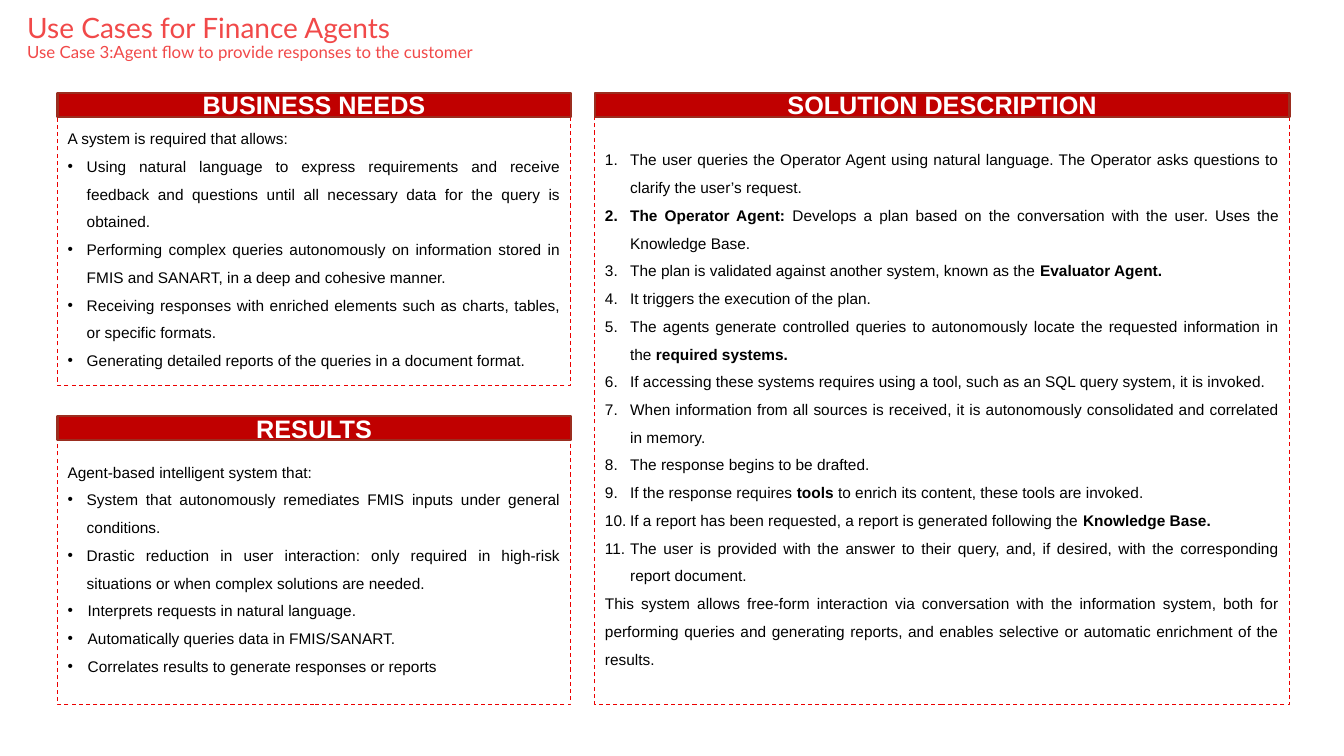
"""Builds a slide on a finance agent: its needs, results and solution."""
import dataclasses

import pptx
import pptx.dml.color
import pptx.enum.dml
import pptx.enum.shapes
import pptx.enum.text
import pptx.oxml
import pptx.oxml.ns
import pptx.util

Inches = pptx.util.Inches
Pt = pptx.util.Pt
Align = pptx.enum.text.PP_ALIGN
Anchor = pptx.enum.text.MSO_ANCHOR


@dataclasses.dataclass(frozen=True)
class Theme:
    ink: str = "000000"
    white: str = "FFFFFF"
    title: str = "F14949"
    banner: str = "C00000"
    edge: str = "9B2D1F"
    dash: str = "EC0000"
    head: str = "Lato"
    body: str = "Arial"
    large: float = 20
    small: float = 12
    label: float = 18
    text: float = 11


class Deck:
    def __init__(self, theme):
        self.theme = theme
        self.show = pptx.Presentation()
        self.show.slide_width = Inches(13.33)
        self.show.slide_height = Inches(7.5)
        self.slide = self.show.slides.add_slide(self.show.slide_layouts[4])

    def place(self, shape, left, top, width, height):
        shape.left, shape.top = Inches(left), Inches(top)
        shape.width, shape.height = Inches(width), Inches(height)

    def tint(self, color):
        return pptx.dml.color.RGBColor.from_string(color)

    def words(self, para, text, size, color, face, bold=False):
        run = para.add_run()
        run.text = text
        run.font.size = Pt(size)
        run.font.name = face
        run.font.bold = bold
        run.font.color.rgb = self.tint(color)

    def frame(self, shape, anchor):
        frame = shape.text_frame
        frame.word_wrap = True
        frame.auto_size = pptx.enum.text.MSO_AUTO_SIZE.NONE
        frame.vertical_anchor = anchor
        return frame

    def title(self, main, sub):
        look = self.theme
        shape = self.slide.shapes.title
        self.place(shape, 0.27, 0.09, 10.23, 0.63)
        frame = self.frame(shape, Anchor.TOP)
        frame.margin_left = frame.margin_right = 0
        para = frame.paragraphs[0]
        para.alignment = Align.LEFT
        para.line_spacing = 0.9
        self.words(para, main, look.large, look.title, look.head)
        para.add_line_break()
        self.words(para, sub, look.small, look.title, look.head)

    def mark(self, para, kind, indent):
        props = para._p.get_or_add_pPr()
        props.set("marL", str(Inches(indent)))
        props.set("indent", str(-Inches(indent)))
        space = pptx.oxml.ns.nsdecls("a")
        marks = {
            "none": "<a:buNone {}/>",
            "dot": '<a:buChar {} char="•"/>',
            "count": '<a:buAutoNum {} type="arabicPeriod"/>',
        }
        if kind != "none":
            font = '<a:buFont {} typeface="{}"/>'
            props.append(pptx.oxml.parse_xml(font.format(space, self.theme.body)))
        props.append(pptx.oxml.parse_xml(marks[kind].format(space)))

    def body(self, slot, box, items):
        look = self.theme
        shape = self.slide.placeholders[slot]
        self.place(shape, *box)
        shape.line.color.rgb = self.tint(look.dash)
        shape.line.width = Pt(0.75)
        shape.line.dash_style = pptx.enum.dml.MSO_LINE.DASH
        frame = self.frame(shape, Anchor.MIDDLE)
        for index, (kind, indent, align, text) in enumerate(items):
            para = frame.add_paragraph() if index else frame.paragraphs[0]
            self.mark(para, kind, indent)
            para.alignment = align
            para.line_spacing = 1.5
            para.space_before = Pt(0)
            for turn, part in enumerate(text.split("**")):
                if part:
                    self.words(para, part, look.text, look.ink, look.body, turn % 2 == 1)

    def banner(self, left, top, width, text):
        look = self.theme
        kind = pptx.enum.shapes.MSO_SHAPE.RECTANGLE
        shape = self.slide.shapes.add_shape(
            kind, Inches(left), Inches(top), Inches(width), Inches(0.24))
        shape.shadow.inherit = False
        shape.fill.solid()
        shape.fill.fore_color.rgb = self.tint(look.banner)
        shape.line.color.rgb = self.tint(look.edge)
        shape.line.width = Pt(1.5)
        para = self.frame(shape, Anchor.MIDDLE).paragraphs[0]
        para.alignment = Align.CENTER
        self.words(para, text, look.label, look.white, look.body, True)

    def panel(self, slot, head, top, box, items):
        self.body(slot, box, items)
        self.banner(box[0], top, box[2], head)

    def clean(self):
        for shape in list(self.slide.placeholders):
            if not shape.text_frame.text:
                shape._element.getparent().remove(shape._element)


def plain(text):
    return "none", 0, Align.JUSTIFY, text


def dots(*texts, indent=0.19, align=Align.JUSTIFY):
    return [("dot", indent, align, text) for text in texts]


def steps(*texts):
    return [("count", 0.25, Align.JUSTIFY, text) for text in texts]


NEEDS = [plain("A system is required that allows:")] + dots(
    "Using natural language to express requirements and receive feedback and questions "
    "until all necessary data for the query is obtained.",
    "Performing complex queries autonomously on information stored in FMIS and SANART, "
    "in a deep and cohesive manner.",
    "Receiving responses with enriched elements such as charts, tables, or specific formats.",
    "Generating detailed reports of the queries in a document format.",
)
RESULTS = [plain("Agent-based intelligent system that:")] + dots(
    "System that autonomously remediates FMIS inputs under general conditions.",
    "Drastic reduction in user interaction: only required in high-risk situations "
    "or when complex solutions are needed.",
) + dots(
    "Interprets requests in natural language.",
    "Automatically queries data in FMIS/SANART.",
    "Correlates results to generate responses or reports",
    indent=0.2, align=Align.LEFT,
)
FLOW = steps(
    "The user queries the Operator Agent using natural language. The Operator asks "
    "questions to clarify the user’s request.",
    "**The Operator Agent: **Develops a plan based on the conversation with the user. "
    "Uses the Knowledge Base.",
    "The plan is validated against another system, known as the **Evaluator Agent.**",
    "It triggers the execution of the plan.",
    "The agents generate controlled queries to autonomously locate the requested "
    "information in the **required systems.**",
    "If accessing these systems requires using a tool, such as an SQL query system, "
    "it is invoked.",
    "When information from all sources is received, it is autonomously consolidated "
    "and correlated in memory.",
    "The response begins to be drafted.",
    "If the response requires **tools** to enrich its content, these tools are invoked.",
    "If a report has been requested, a report is generated following the **Knowledge Base.**",
    "The user is provided with the answer to their query, and, if desired, with the "
    "corresponding report document.",
) + [plain(
    "This system allows free-form interaction via conversation with the information system, "
    "both for performing queries and generating reports, and enables selective or automatic "
    "enrichment of the results.")]


def main():
    deck = Deck(Theme())
    deck.title("Use Cases for Finance Agents",
               "Use Case 3:Agent flow to provide responses to the customer")
    deck.panel(1, "BUSINESS NEEDS", 0.92, (0.57, 1.04, 5.09, 2.78), NEEDS)
    deck.panel(2, "RESULTS", 4.13, (0.57, 4.21, 5.09, 2.78), RESULTS)
    deck.panel(4, "SOLUTION DESCRIPTION", 0.92, (5.9, 1.04, 6.89, 5.95), FLOW)
    deck.clean()
    deck.show.save("out.pptx")


if __name__ == "__main__":
    main()
